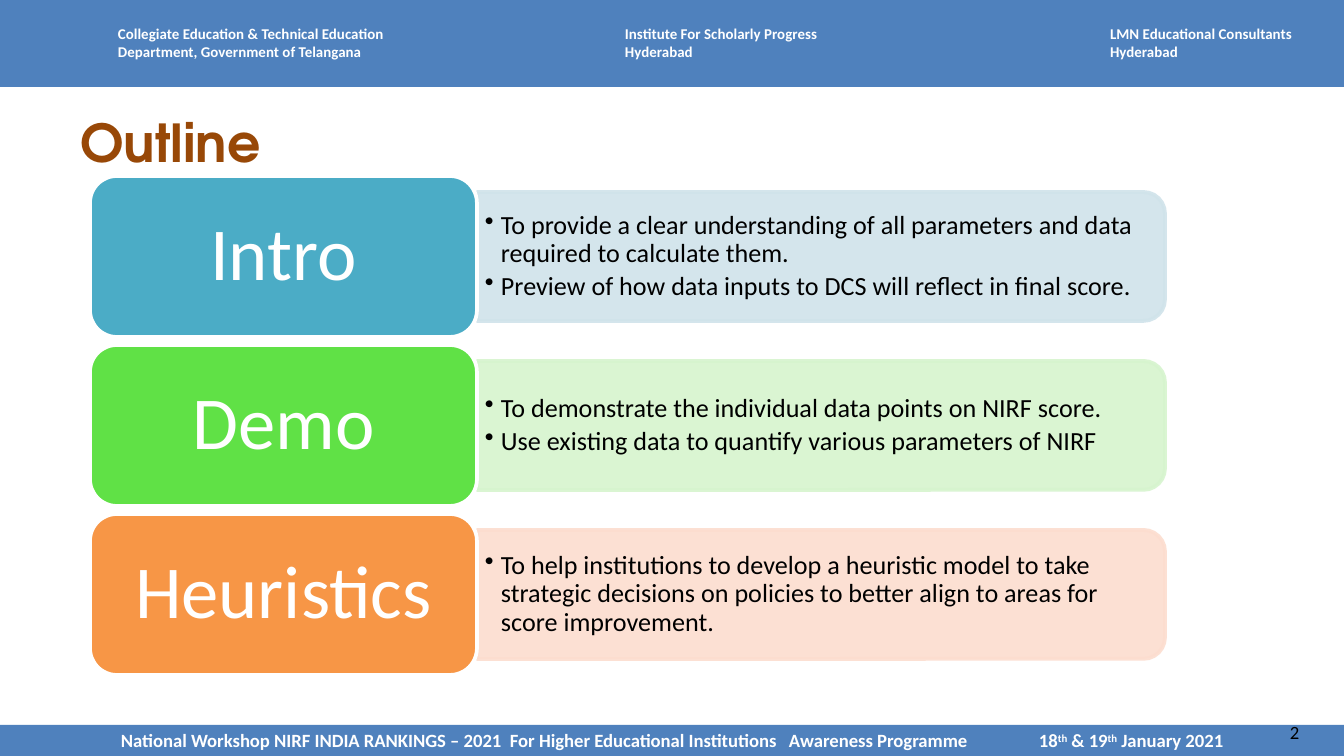
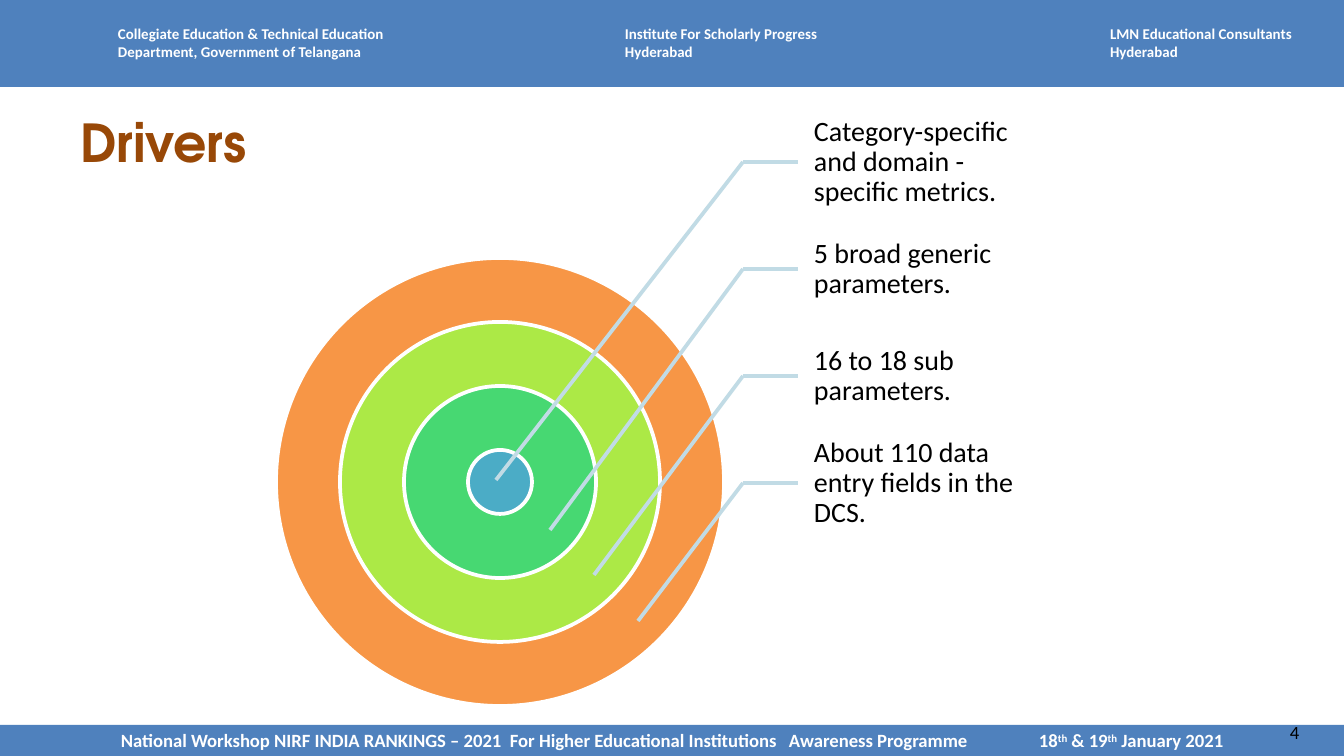
from dataclasses import dataclass

from lxml.etree import SubElement
from pptx import Presentation
from pptx.dml.color import RGBColor
from pptx.enum.shapes import MSO_CONNECTOR as Connector, MSO_SHAPE as Preset
from pptx.enum.text import MSO_ANCHOR as Anchor, MSO_AUTO_SIZE as AutoSize, PP_ALIGN as Align
from pptx.oxml.ns import qn
from pptx.shapes.autoshape import Shape
from pptx.slide import Slide
from pptx.text.text import TextFrame
from pptx.util import Emu, Pt

SCALE = 914400 / 134.4
WIDTH, HEIGHT = 1344, 756
COLORS = {
    "band": "4F81BD",
    "title": "984807",
    "white": "FFFFFF",
    "black": "000000",
    "teal": "4BACC6",
    "pale teal": "D0E3EA",
    "green": "60E146",
    "pale green": "D6F4CE",
    "orange": "F79646",
    "pale orange": "FCDDCF",
    "lime": "ACE946",
    "emerald": "47D872",
    "callout": "C1DBE5",
}
BODY_FONT, TITLE_FONT = "Calibri", "TeX Gyre Adventor"


@dataclass(frozen=True)
class Host:
    left: int
    width: int
    lines: tuple[str, ...]


@dataclass(frozen=True)
class Topic:
    label: str
    color: str
    pale: str
    points: tuple[str, ...]


@dataclass(frozen=True)
class Driver:
    text: str
    color: str
    tip: tuple[int, int]


HOSTS = (
    Host(118, 300, ("Collegiate Education & Technical Education", "Department, Government of Telangana")),
    Host(625, 240, ("Institute For Scholarly Progress", "Hyderabad")),
    Host(1110, 230, ("LMN Educational Consultants", "Hyderabad")),
)
FOOTER_LEFT = 121
FOOTER_STOPS = (510, 789, 1039)
FOOTER_TEXT = "\t".join((
    "National Workshop NIRF INDIA RANKINGS – 2021",
    "For Higher Educational Institutions",
    "Awareness Programme",
    "18^th^ & 19^th^ January 2021",
))
TOPICS = (
    Topic("Intro", "teal", "pale teal", (
        "To provide a clear understanding of all parameters and data required to calculate them.",
        "Preview of how data inputs to DCS will reflect in final score.",
    )),
    Topic("Demo", "green", "pale green", (
        "To demonstrate the individual data points on NIRF score.",
        "Use existing data to quantify various parameters of NIRF",
    )),
    Topic("Heuristics", "orange", "pale orange", (
        "To help institutions to develop a heuristic model to take strategic decisions "
        "on policies to better align to areas for score improvement.",
    )),
)
DRIVERS = (
    Driver("Category-specific and domain - specific metrics.", "teal", (496, 480)),
    Driver("5 broad generic parameters.", "emerald", (550, 530)),
    Driver("16 to 18 sub parameters.", "lime", (594, 575)),
    Driver("About 110 data entry fields in the DCS.", "orange", (638, 621)),
)


def px(length: float) -> Emu:
    return Emu(round(length * SCALE))


def rgb(name: str) -> RGBColor:
    return RGBColor.from_string(COLORS[name])


def write_text(
    frame: TextFrame,
    *paragraphs: str,
    size: float,
    color: str = "black",
    font: str = BODY_FONT,
    bold: bool = False,
    align: Align = Align.LEFT,
    anchor: Anchor = Anchor.TOP,
    insets: tuple[int, int, int, int] = (0, 0, 0, 0),
    line_spacing: float = 1.0,
    space_after: float = 0,
    bullet_indent: int = 0,
    tab_stops: tuple[int, ...] = (),
) -> None:
    frame.word_wrap = True
    frame.auto_size = AutoSize.NONE
    frame.vertical_anchor = anchor
    frame.margin_left, frame.margin_top, frame.margin_right, frame.margin_bottom = map(px, insets)
    for index, text in enumerate(paragraphs):
        paragraph = frame.add_paragraph() if index else frame.paragraphs[0]
        paragraph.alignment = align
        paragraph.line_spacing = line_spacing
        paragraph.space_after = Pt(space_after)
        properties = paragraph._p.get_or_add_pPr()
        if bullet_indent:
            properties.set("marL", str(px(bullet_indent)))
            properties.set("indent", str(-px(bullet_indent)))
            SubElement(properties, qn("a:buChar"), char="•")
        if tab_stops:
            stops = SubElement(properties, qn("a:tabLst"))
            for stop in tab_stops:
                SubElement(stops, qn("a:tab"), pos=str(px(stop)), algn="l")
        for position, part in enumerate(text.split("^")):
            run = paragraph.add_run()
            run.text = part
            run.font.name = font
            run.font.size = Pt(size)
            run.font.bold = bold
            run.font.color.rgb = rgb(color)
            if position % 2:
                run._r.get_or_add_rPr().set("baseline", "30000")


def add_box(slide: Slide, left: int, top: int, width: int, height: int) -> TextFrame:
    return slide.shapes.add_textbox(px(left), px(top), px(width), px(height)).text_frame


def add_preset(
    slide: Slide,
    preset: Preset,
    left: float,
    top: float,
    width: int,
    height: int,
    fill: str,
    line: str | None = None,
    opacity: int = 100,
) -> Shape:
    shape = slide.shapes.add_shape(preset, px(left), px(top), px(width), px(height))
    shape.shadow.inherit = False
    shape.fill.solid()
    shape.fill.fore_color.rgb = rgb(fill)
    if line:
        shape.line.color.rgb = rgb(line)
        shape.line.width = Pt(2)
    else:
        shape.line.fill.background()
    if opacity < 100:
        for color in list(shape._element.spPr.iter(qn("a:srgbClr"))):
            SubElement(color, qn("a:alpha"), val=str(opacity * 1000))
    return shape


def add_line(slide: Slide, start: tuple[int, int], end: tuple[int, int]) -> None:
    connector = slide.shapes.add_connector(Connector.STRAIGHT, *map(px, start + end))
    connector.line.color.rgb = rgb("callout")
    connector.line.width = Pt(2)
    SubElement(connector._element.spPr, qn("a:effectLst"))


def add_framed_slide(presentation: Presentation, title: str, number: int) -> Slide:
    slide = presentation.slides.add_slide(presentation.slide_layouts[5])
    heading = slide.shapes.title
    heading.left, heading.top, heading.width, heading.height = map(px, (67, 103, 1210, 126))
    write_text(heading.text_frame, title, size=28, color="title", font=TITLE_FONT, bold=True,
               insets=(13, 7, 13, 7))

    add_preset(slide, Preset.RECTANGLE, 0, 0, WIDTH, 87, "band")
    for host in HOSTS:
        write_text(add_box(slide, host.left, 25, host.width, 38), *host.lines,
                   size=8, color="white", bold=True)

    footer = add_preset(slide, Preset.RECTANGLE, 0, 725, WIDTH, HEIGHT - 725, "band")
    write_text(footer.text_frame, FOOTER_TEXT, size=10, color="white", bold=True,
               anchor=Anchor.MIDDLE, insets=(FOOTER_LEFT, 0, 0, 0),
               tab_stops=tuple(stop - FOOTER_LEFT for stop in FOOTER_STOPS))
    write_text(add_box(slide, 1277, 714, 67, 36), str(number), size=10, insets=(13, 7, 13, 7))
    return slide


def draw_topic(slide: Slide, topic: Topic, top: int) -> None:
    label_left, label_width, label_height = 90, 387, 161
    panel_left, panel_width, panel_height = label_left + label_width, 688, 129
    panel_top = top + (label_height - panel_height) // 2
    turn = (panel_width - panel_height) / 2
    panel = add_preset(slide, Preset.ROUND_2_SAME_RECTANGLE, panel_left + turn, panel_top - turn,
                       panel_height, panel_width, topic.pale, topic.pale, opacity=90)
    panel.rotation = 90
    write_text(add_box(slide, panel_left, panel_top + 6, 681, 117), *topic.points,
               size=14, anchor=Anchor.MIDDLE, insets=(8, 4, 8, 4),
               line_spacing=0.9, space_after=2.5, bullet_indent=16)
    label = add_preset(slide, Preset.ROUNDED_RECTANGLE, label_left, top,
                       label_width, label_height, topic.color, "white")
    write_text(label.text_frame, topic.label, size=40, color="white", align=Align.CENTER,
               anchor=Anchor.MIDDLE, line_spacing=0.9)


def draw_target(slide: Slide) -> None:
    center_x, center_y, core, ring_step = 500, 482, 64, 128
    for ring, driver in reversed(list(enumerate(DRIVERS))):
        diameter = core + ring * ring_step
        add_preset(slide, Preset.OVAL, center_x - diameter / 2, center_y - diameter / 2,
                   diameter, diameter, driver.color, "white")


def draw_callouts(slide: Slide) -> None:
    elbow_x, text_left, first_top, pitch = 743, 798, 109, 107
    for index, driver in enumerate(DRIVERS):
        top = first_top + index * pitch
        elbow = (elbow_x, top + pitch // 2)
        write_text(add_box(slide, text_left, top, 224, pitch), driver.text, size=15,
                   anchor=Anchor.MIDDLE, insets=(16, 3, 3, 3), line_spacing=0.9)
        add_line(slide, elbow, (text_left, elbow[1]))
        add_line(slide, elbow, driver.tip)


def main() -> None:
    presentation = Presentation()
    presentation.slide_width, presentation.slide_height = px(WIDTH), px(HEIGHT)

    outline = add_framed_slide(presentation, "Outline", 2)
    for index, topic in enumerate(TOPICS):
        draw_topic(outline, topic, 176 + index * 169)

    drivers = add_framed_slide(presentation, "Drivers", 4)
    draw_target(drivers)
    draw_callouts(drivers)

    presentation.save("out.pptx")


main()
